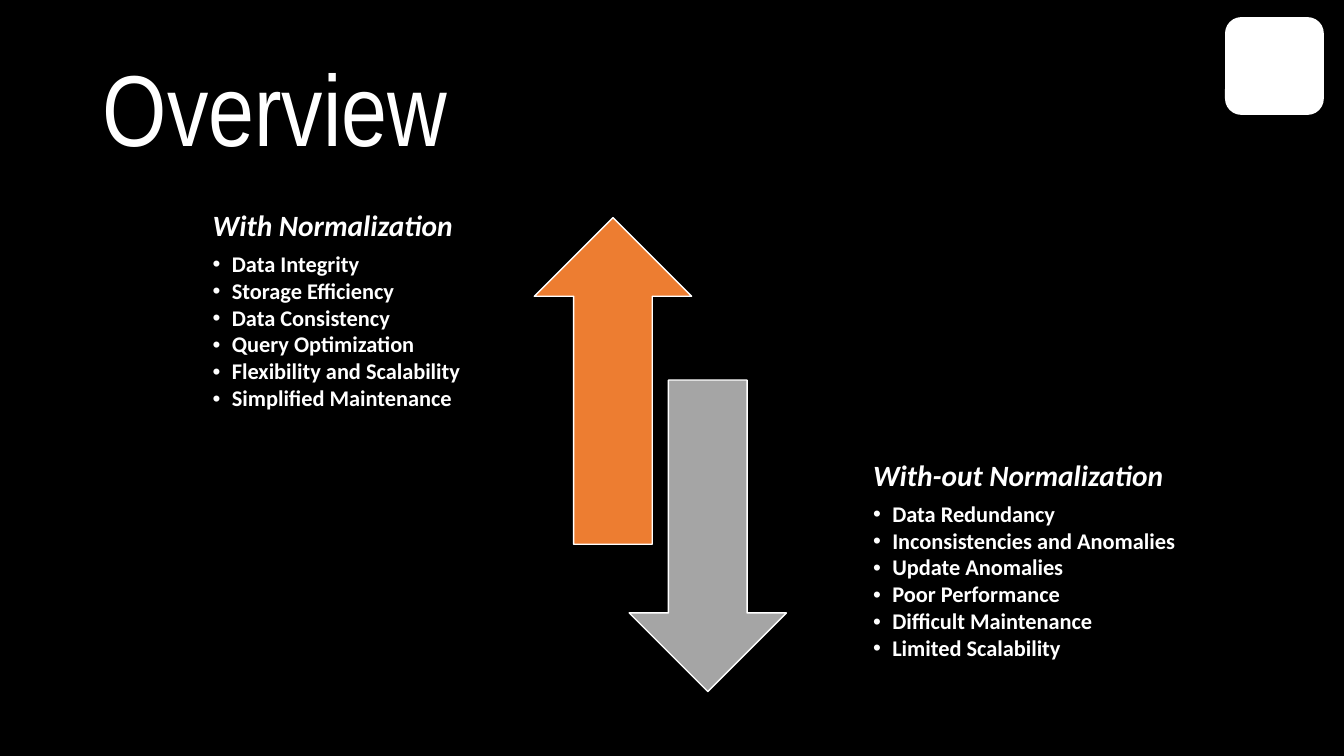
from dataclasses import dataclass

from lxml import etree
from pptx import Presentation
from pptx.dml.color import RGBColor
from pptx.enum.shapes import MSO_SHAPE
from pptx.enum.text import MSO_ANCHOR, MSO_AUTO_SIZE, PP_ALIGN
from pptx.oxml.ns import qn
from pptx.util import Inches, Pt

ROUNDED = MSO_SHAPE.ROUNDED_RECTANGLE
UP, DOWN = MSO_SHAPE.UP_ARROW, MSO_SHAPE.DOWN_ARROW
MIDDLE, LEFT, NO_AUTOFIT = MSO_ANCHOR.MIDDLE, PP_ALIGN.LEFT, MSO_AUTO_SIZE.NONE

TITLE = "Overview"
SIDES = [
    {
        "heading": "With Normalization",
        "points": ["Data Integrity", "Storage Efficiency", "Data Consistency",
                   "Query Optimization", "Flexibility and Scalability",
                   "Simplified Maintenance"],
        "arrow": UP, "color": "ED7D31",
        "arrow_box": (5.3, 2.16, 1.56, 3.24), "list_box": (1.95, 2.03, 4.72, 2.28),
    },
    {
        "heading": "With-out Normalization",
        "points": ["Data Redundancy", "Inconsistencies and Anomalies",
                   "Update Anomalies", "Poor Performance",
                   "Difficult Maintenance", "Limited Scalability"],
        "arrow": DOWN, "color": "A5A5A5",
        "arrow_box": (6.24, 3.77, 1.56, 3.09), "list_box": (8.5, 4.51, 4.83, 2.28),
    },
]


@dataclass(frozen=True)
class Theme:
    background: str = "000000"
    foreground: str = "FFFFFF"
    title_font: str = "Arial Narrow"
    body_font: str = "Calibri"
    title_size: int = 72
    heading_size: int = 21
    point_size: int = 16
    line_spacing: float = 0.9
    indent: float = 0.19
    inset: float = 0.16


THEME = Theme()


def place(part, box):
    part.left, part.top, part.width, part.height = map(Inches, box)


def add_figure(slide, preset, box, color, outlined):
    figure = slide.shapes.add_shape(preset, *map(Inches, box))
    figure.shadow.inherit = False
    figure.fill.solid()
    figure.fill.fore_color.rgb = RGBColor.from_string(color)
    if outlined:
        figure.line.color.rgb = RGBColor.from_string(THEME.foreground)
        figure.line.width = Pt(1)
    else:
        figure.line.fill.background()


def write(paragraph, text, font, size, bold=False, italic=False, after=0):
    paragraph.alignment = LEFT
    paragraph.line_spacing = THEME.line_spacing
    paragraph.space_before = Pt(0)
    paragraph.space_after = Pt(after)
    run = paragraph.add_run()
    run.text = text
    run.font.name = font
    run.font.size = Pt(size)
    run.font.bold = bold
    run.font.italic = italic
    run.font.color.rgb = RGBColor.from_string(THEME.foreground)


def add_bullet(paragraph):
    paragraph.level = 1
    properties = paragraph._p.get_or_add_pPr()
    properties.set("marL", str(Inches(THEME.indent)))
    properties.set("indent", str(-Inches(THEME.indent)))
    etree.SubElement(properties, qn("a:buFont")).set("typeface", "Arial")
    etree.SubElement(properties, qn("a:buChar")).set("char", "•")


def add_list(slide, box, heading, points):
    frame = slide.shapes.add_textbox(*map(Inches, box)).text_frame
    frame.word_wrap = True
    frame.vertical_anchor = MIDDLE
    frame.margin_left = frame.margin_right = frame.margin_bottom = Inches(THEME.inset)
    frame.margin_top = 0
    write(frame.paragraphs[0], heading, THEME.body_font, THEME.heading_size,
          bold=True, italic=True, after=7)
    for point in points:
        paragraph = frame.add_paragraph()
        write(paragraph, point, THEME.body_font, THEME.point_size, bold=True, after=2)
        add_bullet(paragraph)


def main():
    deck = Presentation()
    deck.slide_width, deck.slide_height = Inches(13.33), Inches(7.5)
    slide = deck.slides.add_slide(deck.slide_layouts[5])
    slide.background.fill.solid()
    slide.background.fill.fore_color.rgb = RGBColor.from_string(THEME.background)

    title = slide.shapes.title
    place(title, (0.92, 0.4, 11.5, 1.45))
    title.text_frame.auto_size = NO_AUTOFIT
    title.text_frame.vertical_anchor = MIDDLE
    write(title.text_frame.paragraphs[0], TITLE, THEME.title_font, THEME.title_size)

    add_figure(slide, ROUNDED, (12.15, 0.17, 0.98, 0.97), THEME.foreground, False)
    for side in SIDES:
        add_figure(slide, side["arrow"], side["arrow_box"], side["color"], True)
        add_list(slide, side["list_box"], side["heading"], side["points"])

    deck.save("out.pptx")


if __name__ == "__main__":
    main()
